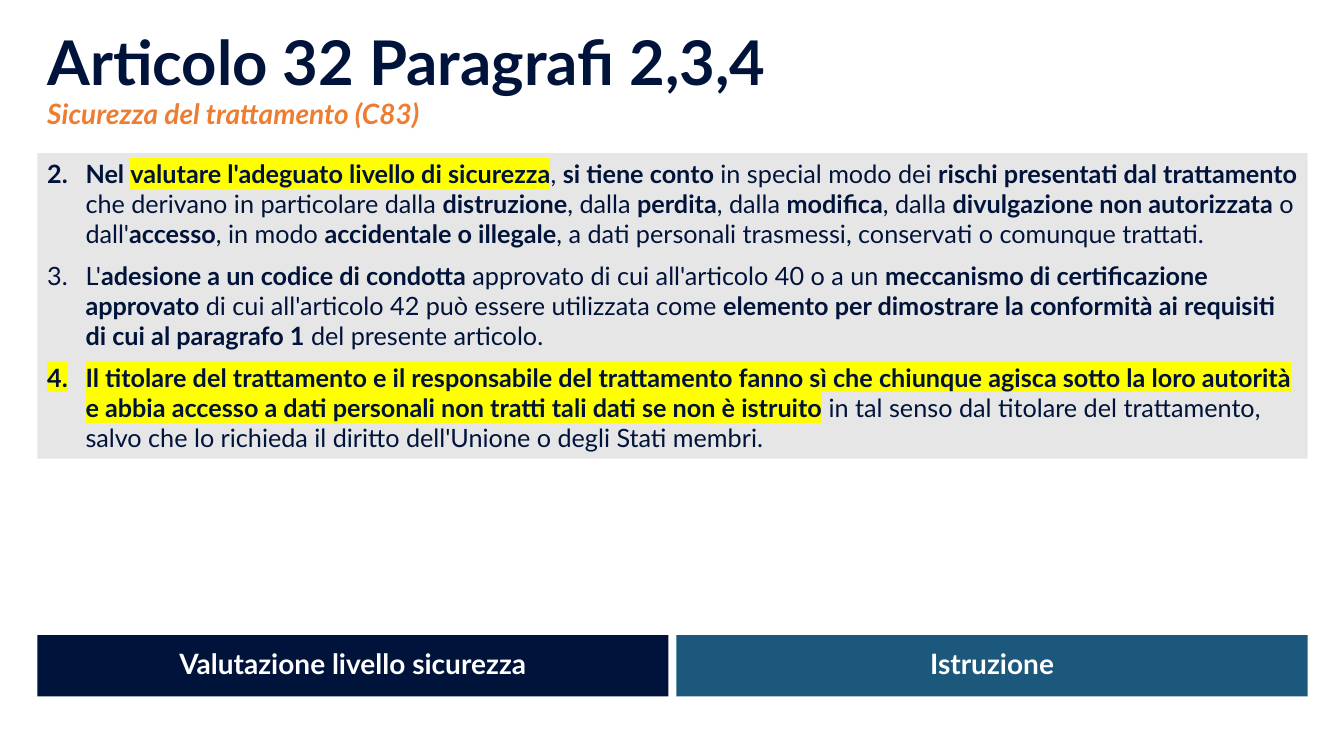
import pptx
import pptx.dml.color
import pptx.enum.shapes
import pptx.enum.text
import pptx.oxml.ns
import pptx.util
from dataclasses import dataclass
from lxml import etree

Inches = pptx.util.Inches
Align = pptx.enum.text.PP_ALIGN
Anchor = pptx.enum.text.MSO_ANCHOR
AutoSize = pptx.enum.text.MSO_AUTO_SIZE
qn = pptx.oxml.ns.qn


@dataclass
class Theme:
    font: str = "Lato"
    navy: str = "00133A"
    blue: str = "1B587C"
    orange: str = "ED7D31"
    grey: str = "E7E6E6"
    white: str = "FFFFFF"
    yellow: str = "FFFF00"
    title: int = 44
    label: int = 20
    body: int = 18


LEFT, WIDTH = 0.37, 12.6
ARTICLE_TOP, ARTICLE_HEIGHT = 1.52, 1.01
LABEL_TOP, LABEL_HEIGHT, LABEL_GAP = 6.3, 0.61, 0.08
FIRST_NUMBER = 2
INDENT = 0.38

PLAIN, BOLD, MARKED = "plain", "bold", "marked"
ARTICLES = [
    [
        (BOLD, "Nel "),
        (MARKED, "valutare l'adeguato livello di sicurezza"),
        (PLAIN, ", "),
        (BOLD, "si tiene conto"),
        (PLAIN, " in special modo dei "),
        (BOLD, "rischi presentati dal trattamento"),
        (PLAIN, " che derivano in particolare dalla "),
        (BOLD, "distruzione"),
        (PLAIN, ", dalla "),
        (BOLD, "perdita"),
        (PLAIN, ", dalla "),
        (BOLD, "modifica"),
        (PLAIN, ", dalla "),
        (BOLD, "divulgazione non autorizzata"),
        (PLAIN, " o dall'"),
        (BOLD, "accesso"),
        (PLAIN, ", in modo "),
        (BOLD, "accidentale o illegale"),
        (PLAIN, ", a dati personali trasmessi, conservati o comunque trattati."),
    ],
    [
        (PLAIN, "L'"),
        (BOLD, "adesione a un codice di condotta"),
        (PLAIN, " approvato di cui all'articolo 40 o a un "),
        (BOLD, "meccanismo di certificazione approvato"),
        (PLAIN, " di cui all'articolo 42 può essere utilizzata come "),
        (BOLD, "elemento per dimostrare la conformità ai requisiti di cui al paragrafo 1"),
        (PLAIN, " del presente articolo."),
    ],
    [
        (MARKED, "Il titolare del trattamento e il responsabile del trattamento fanno sì "
                 "che chiunque agisca sotto la loro autorità e abbia accesso a dati "
                 "personali non tratti tali dati se non è istruito"),
        (PLAIN, " in tal senso dal titolare del trattamento, salvo che lo richieda "
                "il diritto dell'Unione o degli Stati membri."),
    ],
]


def assign(target, values):
    for name, value in values.items():
        setattr(target, name, value)


class SlideBuilder:
    def __init__(self, s, theme):
        self.s = s
        self.theme = theme

    def run(self, p, text, size, color, bold=True, italic=False, highlight=None):
        r = p.add_run()
        r.text = text
        assign(r.font, {"name": self.theme.font, "size": pptx.util.Pt(size),
                        "bold": bold, "italic": italic})
        r.font.color.rgb = pptx.dml.color.RGBColor.from_string(color)
        if highlight:
            mark = etree.Element(qn("a:highlight"))
            etree.SubElement(mark, qn("a:srgbClr"), val=highlight)
            r.font._element.find(qn("a:solidFill")).addnext(mark)

    def frame(self, sp, anchor=Anchor.TOP, auto_size=AutoSize.NONE, align=Align.LEFT, **margins):
        tf = sp.text_frame
        assign(tf, {"word_wrap": True, "vertical_anchor": anchor,
                    "auto_size": auto_size, **margins})
        p = tf.paragraphs[0]
        p.alignment = align
        return p

    def title(self, text, left, top, width, height):
        sp = self.s.shapes.title
        assign(sp, {"left": Inches(left), "top": Inches(top),
                    "width": Inches(width), "height": Inches(height)})
        p = self.frame(sp, anchor=Anchor.MIDDLE)
        p.line_spacing = 0.9
        self.run(p, text, self.theme.title, self.theme.navy)

    def subtitle(self, text, left, top, width, height):
        sp = self.s.shapes.add_textbox(Inches(left), Inches(top), Inches(width), Inches(height))
        p = self.frame(sp, auto_size=AutoSize.SHAPE_TO_FIT_TEXT)
        self.run(p, text, self.theme.label, self.theme.orange, italic=True)

    def box(self, left, top, width, height, color):
        sp = self.s.shapes.add_shape(pptx.enum.shapes.MSO_SHAPE.RECTANGLE, Inches(left),
                                     Inches(top), Inches(width), Inches(height))
        sp.shadow.inherit = False
        sp.fill.solid()
        sp.fill.fore_color.rgb = pptx.dml.color.RGBColor.from_string(color)
        sp.line.fill.background()
        return sp

    def article(self, number, parts, left, top, width, height):
        sp = self.box(left, top, width, height, self.theme.grey)
        p = self.frame(sp, auto_size=AutoSize.SHAPE_TO_FIT_TEXT)
        pPr = p._p.get_or_add_pPr()
        pPr.set("marL", str(Inches(INDENT)))
        pPr.set("indent", str(-Inches(INDENT)))
        etree.SubElement(pPr, qn("a:buFont"), typeface="+mj-lt")
        etree.SubElement(pPr, qn("a:buAutoNum"), type="arabicPeriod", startAt=str(number))
        for style, text in parts:
            self.run(p, text, self.theme.body, self.theme.navy, bold=style != PLAIN,
                     highlight=self.theme.yellow if style == MARKED else None)

    def label(self, text, left, top, width, height, color):
        sp = self.box(left, top, width, height, color)
        p = self.frame(sp, align=Align.CENTER,
                       margin_top=Inches(0.15), margin_bottom=Inches(0.15))
        p.line_spacing = 0.9
        self.run(p, text, self.theme.label, self.theme.white)


def main():
    prs = pptx.Presentation()
    assign(prs, {"slide_width": Inches(13.33), "slide_height": Inches(7.5)})
    theme = Theme()
    slide = SlideBuilder(prs.slides.add_slide(prs.slide_layouts[5]), theme)

    slide.title("Articolo 32 Paragrafi 2,3,4", LEFT, 0.2, WIDTH, 0.91)
    for i, parts in enumerate(ARTICLES):
        slide.article(FIRST_NUMBER + i, parts, LEFT, ARTICLE_TOP + i * ARTICLE_HEIGHT,
                      WIDTH, ARTICLE_HEIGHT)

    label_width = (WIDTH - LABEL_GAP) / 2
    labels = [("Valutazione livello sicurezza", theme.navy), ("Istruzione", theme.blue)]
    for i, (text, color) in enumerate(labels):
        slide.label(text, LEFT + i * (label_width + LABEL_GAP), LABEL_TOP,
                    label_width, LABEL_HEIGHT, color)

    slide.subtitle("Sicurezza del trattamento (C83)", LEFT, 0.91, 12.52, 0.44)
    prs.save("out.pptx")


if __name__ == "__main__":
    main()
